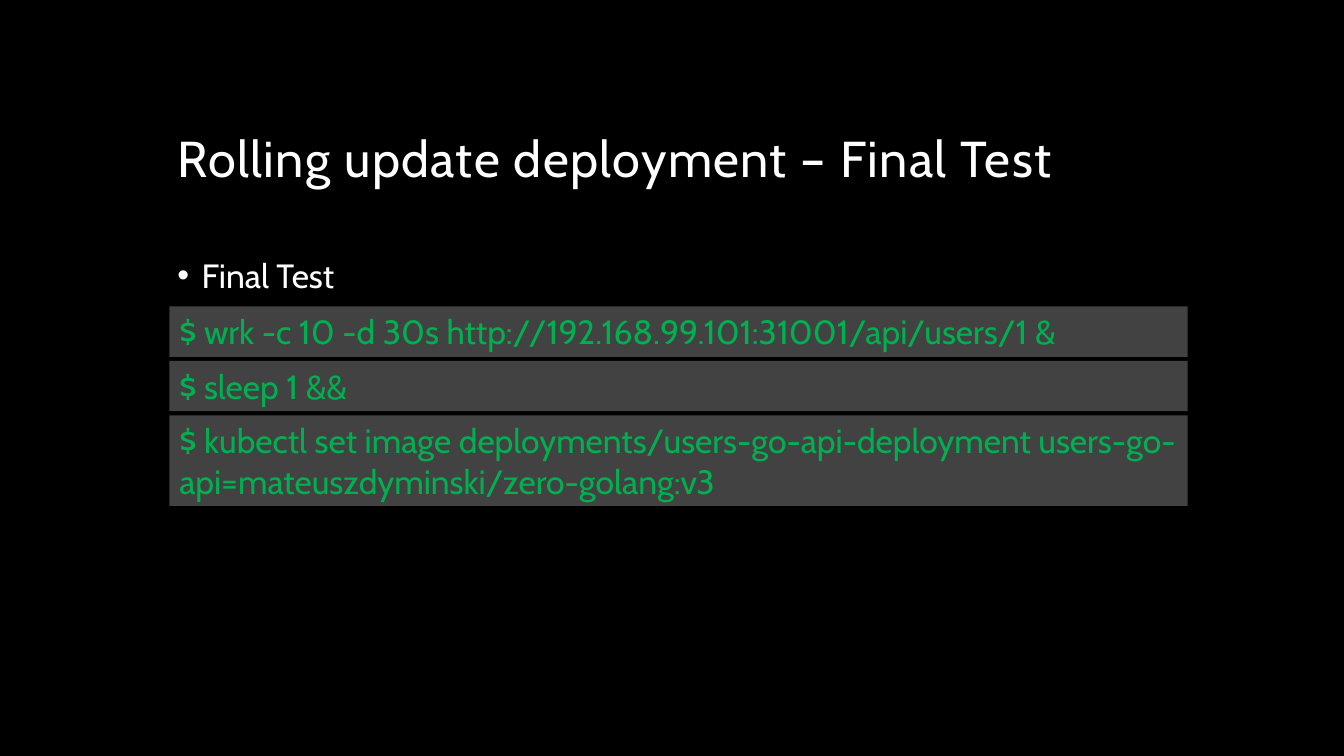
from lxml.etree import SubElement
from pptx import Presentation
from pptx.dml.color import RGBColor
from pptx.enum.shapes import MSO_SHAPE
from pptx.enum.text import MSO_ANCHOR, MSO_AUTO_SIZE, PP_ALIGN
from pptx.oxml.ns import qn
from pptx.util import Inches, Pt

COLORS = {"background": "000000", "text": "FFFFFF", "bar": "424242", "code": "00B050"}
LEFT, BAR_LEFT, WIDTH = 1.66, 1.68, 10.1
BAR_TOP, BAR_PADDING, LINE_HEIGHT, BAR_GAP = 3.04, 0.1, 0.4, 0.04
COMMANDS = [
    ("$ wrk -c 10 -d 30s http://192.168.99.101:31001/api/users/1 &", 1),
    ("$ sleep 1 &&", 1),
    ("$ kubectl set image deployments/users-go-api-deployment "
     "users-go-api=mateuszdyminski/zero-golang:v3", 2),
]


def place(shape, left, top, width, height):
    shape.left, shape.top = Inches(left), Inches(top)
    shape.width, shape.height = Inches(width), Inches(height)


def write(shape, text, size, color, anchor):
    """Fill the shape with one left-aligned paragraph and return it."""
    frame = shape.text_frame
    frame.text = text
    frame.word_wrap = True
    frame.auto_size = MSO_AUTO_SIZE.NONE
    frame.vertical_anchor = anchor
    paragraph = frame.paragraphs[0]
    paragraph.alignment = PP_ALIGN.LEFT
    paragraph.space_before = Pt(0)
    return_font = paragraph.font
    return_font.name = "Cabin"
    return_font.size = Pt(size)
    return_font.color.rgb = RGBColor.from_string(COLORS[color])
    return paragraph


presentation = Presentation()
presentation.slide_width = Inches(13.33)
presentation.slide_height = Inches(7.5)
slide = presentation.slides.add_slide(presentation.slide_layouts[1])
slide.background.fill.solid()
slide.background.fill.fore_color.rgb = RGBColor.from_string(COLORS["background"])

# Title
title = slide.shapes.title
place(title, LEFT, 0.42, 10, 1.5)
heading = write(title, "Rolling update deployment – Final Test", 36, "text", MSO_ANCHOR.BOTTOM)
heading.line_spacing = 0.9
heading.runs[0].font._element.set("spc", "100")

# Bullet
body = slide.placeholders[1]
place(body, LEFT, 2.48, WIDTH, 4.65)
bullet = write(body, "Final Test", 24, "text", MSO_ANCHOR.TOP)
properties = bullet._p.get_or_add_pPr()
properties.set("marL", str(Inches(0.24)))
properties.set("indent", str(-Inches(0.24)))
bullet_mark = SubElement(properties, qn("a:buChar"))
bullet_mark.set("char", "•")
properties.find(qn("a:defRPr")).addprevious(bullet_mark)

# Command bars, stacked with equal gaps
top = BAR_TOP
for command, lines in COMMANDS:
    height = BAR_PADDING + lines * LINE_HEIGHT
    bar = slide.shapes.add_shape(MSO_SHAPE.RECTANGLE, 0, 0, 0, 0)
    place(bar, BAR_LEFT, top, WIDTH, height)
    bar.shadow.inherit = False
    bar.fill.solid()
    bar.fill.fore_color.rgb = RGBColor.from_string(COLORS["bar"])
    bar.line.fill.background()
    write(bar, command, 24, "code", MSO_ANCHOR.TOP)
    top += height + BAR_GAP

presentation.save("out.pptx")
